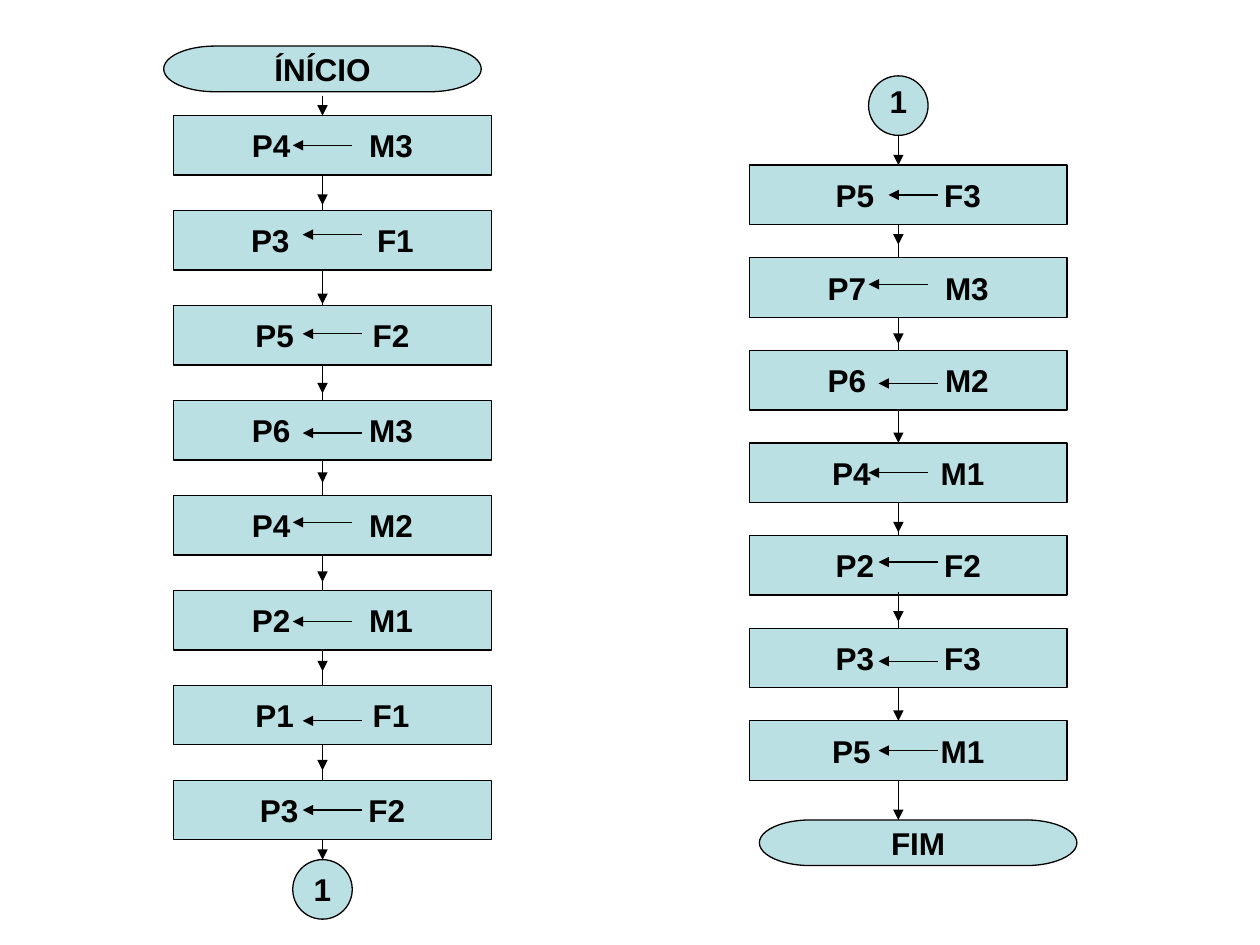
from lxml import etree
from pptx import Presentation
from pptx.dml.color import RGBColor
from pptx.enum.shapes import MSO_CONNECTOR, MSO_SHAPE
from pptx.enum.text import MSO_ANCHOR, PP_ALIGN
from pptx.oxml.ns import qn
from pptx.util import Inches, Mm, Pt

BOX = MSO_SHAPE.FLOWCHART_PROCESS
CAP = MSO_SHAPE.FLOWCHART_TERMINATOR
DOT = MSO_SHAPE.OVAL
LINE = MSO_CONNECTOR.STRAIGHT
MID = MSO_ANCHOR.MIDDLE
TOP = MSO_ANCHOR.TOP
MAIN = PP_ALIGN.CENTER

UNIT = Mm(2)
ZERO = Inches(0.76)
LEFT, RIGHT = Inches(2.56), Inches(7.13)
WIDE, TALL, CAP_H = 32, 6, 4.6
INK, FILL = "000000", "BBE0E3"
SPACE = 5

# Each step: target, source, gap in spaces, arrow tip, arrow length, arrow row
STEPS_L = [
    ("P4", "M3", 9, -3, 6, 5),
    ("P3", "F1", 10, -2, 6, 14),
    ("P5", "F2", 9, -2, 6, 24),
    ("P6", "M3", 9, -2, 6, 34),
    ("P4", "M2", 9, -3, 6, 43),
    ("P2", "M1", 9, -3, 6, 53),
    ("P1", "F1", 9, -2, 6, 63),
    ("P3", "F2", 8, -2, 6, 72),
]
STEPS_R = [
    ("P5", "F3", 8, -1, 5, 10),
    ("P7", "M3", 9, -3, 6, 19),
    ("P6", "M2", 9, -2, 6, 29),
    ("P4", "M1", 8, -3, 6, 38),
    ("P2", "F2", 8, -2, 6, 47),
    ("P3", "F3", 8, -2, 6, 57),
    ("P5", "M1", 8, -2, 6, 66),
]
DROPS_L = [(0, 2), (10, 11), (19, 21), (28, 30), (37, 39),
           (47, 49), (56, 58), (66, 68), (75, 77)]
DROPS_R = [(4, 7), (13, 15), (23, 25), (32, 35),
           (41, 44), (50, 53), (60, 63), (69, 73)]


def color(code):
    """Turn a hex string into a colour."""
    return RGBColor.from_string(code)


def place(axis, col, row):
    """Turn grid steps from an axis into slide lengths."""
    return int(axis + col * UNIT), int(ZERO + row * UNIT)


def write(frame, text, gap=1, size=18, bold=True, anchor=MID, wrap=False):
    """Write centred text, its space widened to a number of spaces."""
    frame.word_wrap = wrap
    frame.vertical_anchor = anchor
    para = frame.paragraphs[0]
    para.alignment = MAIN
    head, mid, tail = text.partition(" ")
    for part in filter(None, (head, mid, tail)):
        run = para.add_run()
        run.text = part
        run.font.name, run.font.size = "Arial", Pt(size)
        run.font.bold = bold
        run.font.color.rgb = color(INK)
        if part == " ":
            wide = (gap - 1) * SPACE * 100
            run.font._element.set("spc", str(wide))


def node(slide, kind, axis, col, row, wide, tall, text="", **form):
    """Draw a filled flowchart shape with its text."""
    shape = slide.shapes.add_shape(
        kind, *place(axis, col, row), int(wide * UNIT), int(tall * UNIT))
    shape.shadow.inherit = False
    shape.fill.solid()
    shape.fill.fore_color.rgb = color(FILL)
    shape.line.color.rgb = color(INK)
    shape.line.width = Pt(0.75)
    if text:
        write(shape.text_frame, text, **form)


def line(slide, axis, start, end, tip=True):
    """Draw a thin line, with an arrowhead at its end if wanted."""
    link = slide.shapes.add_connector(
        LINE, *place(axis, *start), *place(axis, *end))
    link.line.color.rgb = color(INK)
    link.line.width = Pt(0.75)
    if tip:
        edge = link.line._get_or_add_ln()
        etree.SubElement(edge, qn("a:tailEnd"), type="triangle")
    etree.SubElement(link._element.spPr, qn("a:effectLst"))


def label(slide, axis, col, row, wide, tall, text):
    """Put text in a box of its own."""
    box = slide.shapes.add_textbox(
        *place(axis, col, row), int(wide * UNIT), int(tall * UNIT))
    write(box.text_frame, text, anchor=TOP, wrap=True)


def chain(slide, axis, steps, drops, first, last, ends):
    """Draw one column of steps with its spine and arrows."""
    line(slide, axis, (0, ends[0]), (0, ends[1]), tip=False)
    pitch = (last - first) / (len(steps) - 1)
    for i, (goal, start, gap, tip, size, row) in enumerate(steps):
        node(slide, BOX, axis, -15, first + i * pitch, WIDE, TALL,
             f"{goal} {start}", gap=gap)
        line(slide, axis, (tip + size, row), (tip, row))
    for top, end in drops:
        line(slide, axis, (0, top), (0, end))


def main():
    """Build the slide and save it."""
    deck = Presentation()
    deck.slide_width, deck.slide_height = Inches(10), Inches(7.5)
    slide = deck.slides.add_slide(deck.slide_layouts[6])
    chain(slide, LEFT, STEPS_L, DROPS_L, 2, 69, (0, 78))
    chain(slide, RIGHT, STEPS_R, DROPS_R, 7, 63, (4, 73))
    node(slide, CAP, LEFT, -16, -5, WIDE, CAP_H, "ÍNÍCIO")
    node(slide, DOT, LEFT, -3, 77, TALL, TALL, "1")
    node(slide, DOT, RIGHT, -3, -2, TALL, TALL)
    label(slide, RIGHT, -3, -2, TALL, 5, "1")
    node(slide, CAP, RIGHT, -14, 73, WIDE, CAP_H, "FIM")
    deck.save("out.pptx")


if __name__ == "__main__":
    main()
